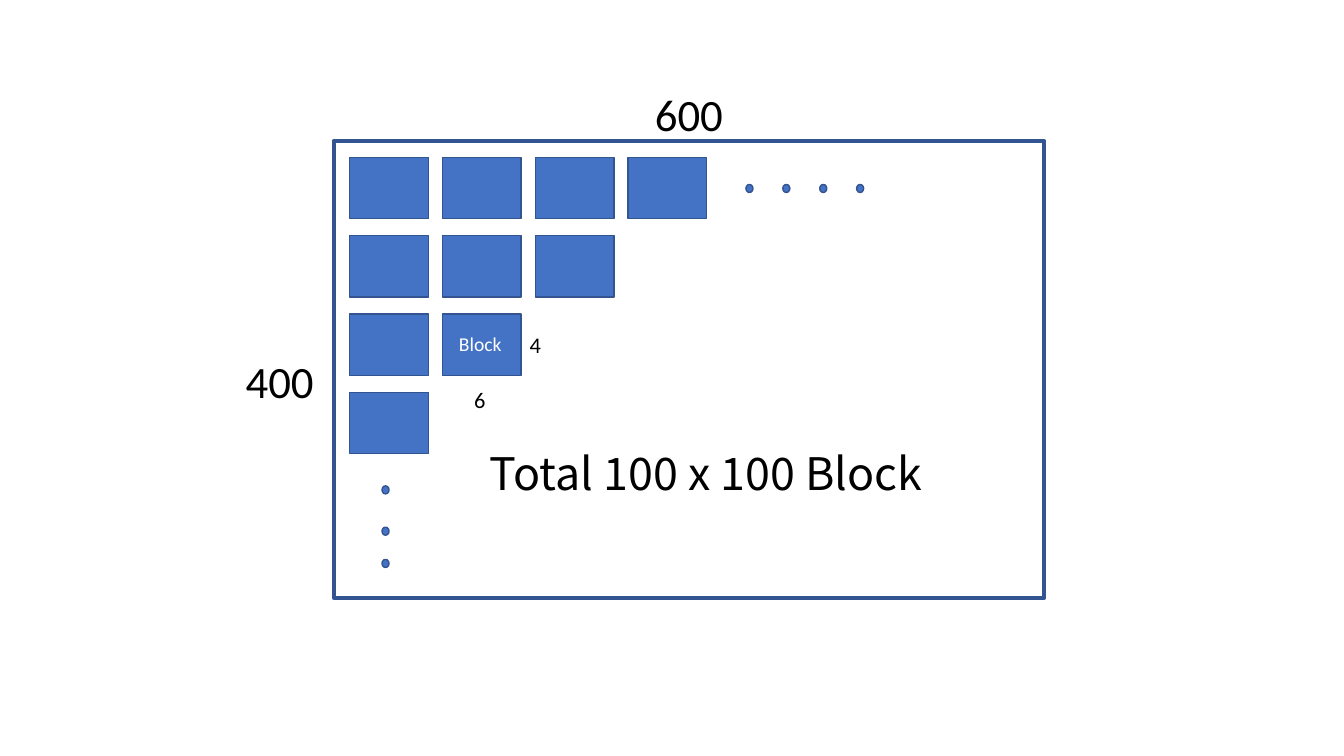
from pptx import Presentation
from pptx.dml.color import RGBColor
from pptx.enum.shapes import MSO_SHAPE
from pptx.enum.text import MSO_ANCHOR, PP_ALIGN
from pptx.util import Inches, Pt

RECT, OVAL = MSO_SHAPE.RECTANGLE, MSO_SHAPE.OVAL
CENTER, TOP = PP_ALIGN.CENTER, MSO_ANCHOR.TOP

COLORS = {"fill": "4472C4", "line": "325491", "text": "000000", "light": "FFFFFF"}
COLS, ROWS = 133.33, 75  # cells across and down the slide

BLOCK_LEFT, BLOCK_TOP = 34.7, 15.6
BLOCK_STEP_X, BLOCK_STEP_Y = 9.2, 7.77
BLOCKS_PER_ROW = (4, 3, 2, 1)
DOT_LEFT, DOT_STEP = 74, 3.66
DOT_TOPS = (48.2, 52.3, 55.5)

# text, left, top, width, height, format
LABELS = (
    ("6", 46, 37.8, 3.2, 3.7, {"size": 16}),
    ("4", 51.5, 32.4, 3.2, 3.7, {"size": 16}),
    ("600", 63.9, 8.1, 8.9, 6.4, {"size": 32}),
    ("400", 23.3, 34.6, 8.9, 6.4, {"size": 32}),
    ("Block", 44.5, 32.4, 6.3, 3.4, {"size": 14, "color": "light"}),
    ("Total 100 x 100 Block", 47.6, 43.7, 44.9, 11.8,
     {"size": 32, "font": "Noto Sans CJK SC"}),
)


class Slide:
    def __init__(self, prs):
        self.s = prs.slides.add_slide(prs.slide_layouts[6])
        self.col = prs.slide_width / COLS
        self.row = prs.slide_height / ROWS

    def place(self, left, top, width, height):
        """Turn grid columns and rows into slide lengths."""
        return (round(left * self.col), round(top * self.row),
                round(width * self.col), round(height * self.row))

    def shape(self, kind, *box, filled=True, line=1):
        sp = self.s.shapes.add_shape(kind, *self.place(*box))
        sp.shadow.inherit = False
        if filled:
            sp.fill.solid()
            sp.fill.fore_color.rgb = RGBColor.from_string(COLORS["fill"])
        else:
            sp.fill.background()
        sp.line.color.rgb = RGBColor.from_string(COLORS["line"])
        sp.line.width = Pt(line)

    def block(self, column, row):
        self.shape(RECT, BLOCK_LEFT + column * BLOCK_STEP_X,
                   BLOCK_TOP + row * BLOCK_STEP_Y, 7.8, 6.1)

    def dot(self, left, top):
        self.shape(OVAL, left, top, 0.7, 0.8)

    def label(self, text, *box, size, color="text", font="Calibri"):
        tf = self.s.shapes.add_textbox(*self.place(*box)).text_frame
        frame_format = {"word_wrap": True, "vertical_anchor": TOP,
                        "margin_left": 0, "margin_right": 0}
        for name, value in frame_format.items():
            setattr(tf, name, value)
        p = tf.paragraphs[0]
        p.alignment = CENTER
        r = p.add_run()
        r.text = text
        for name, value in {"size": Pt(size), "name": font}.items():
            setattr(r.font, name, value)
        r.font.color.rgb = RGBColor.from_string(COLORS[color])


def main():
    prs = Presentation()
    prs.slide_width, prs.slide_height = Inches(13.33), Inches(7.5)
    slide = Slide(prs)
    for row, count in enumerate(BLOCKS_PER_ROW):
        for column in range(count):
            slide.block(column, row)
    slide.shape(RECT, 33.1, 14, 70.5, 45.3, filled=False, line=3)
    for i in range(4):
        slide.dot(DOT_LEFT + i * DOT_STEP, 18.3)
    for top in DOT_TOPS:
        slide.dot(37.9, top)
    for text, *box, style in LABELS:
        slide.label(text, *box, **style)
    prs.save("out.pptx")


if __name__ == "__main__":
    main()
